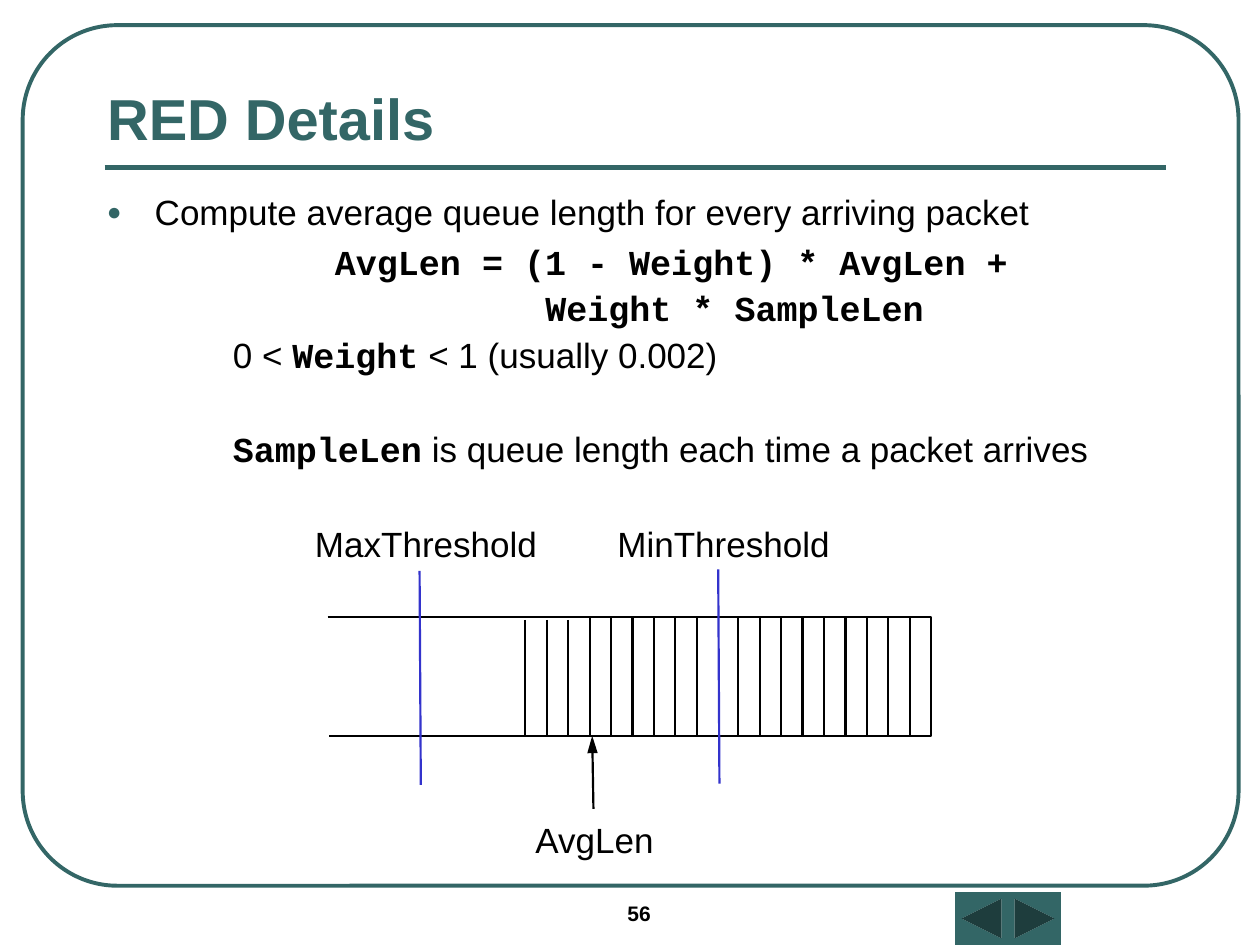
from lxml.etree import SubElement
from pptx import Presentation
from pptx.dml.color import RGBColor
from pptx.enum.shapes import MSO_CONNECTOR, MSO_SHAPE
from pptx.enum.text import MSO_ANCHOR, MSO_AUTO_SIZE, PP_ALIGN
from pptx.oxml.ns import qn
from pptx.util import Emu, Pt

PX = 9144  # EMU per px, 100 px to the inch
TEAL, BLUE, BLACK = "336666", "3333CC", "000000"
SANS, MONO = "Arial", "Courier New"


def px(n):
    return Emu(n * PX)


def color(hex_code):
    return RGBColor.from_string(hex_code)


def place(shape, x, y, w, h):
    shape.left, shape.top, shape.width, shape.height = map(px, (x, y, w, h))


def set_line(shape, hex_code, width):
    shape.line.color.rgb = color(hex_code)
    shape.line.width = Pt(width)


def add_run(p, text, size=20, font=SANS, bold=False, hex_code=BLACK):
    r = p.add_run()
    r.text = text
    r.font.size, r.font.name, r.font.bold = Pt(size), font, bold
    r.font.color.rgb = color(hex_code)


def add_label(s, text, x, y, w, h, **fmt):
    tf = s.shapes.add_textbox(*map(px, (x, y, w, h))).text_frame
    tf.margin_left = tf.margin_right = tf.margin_top = tf.margin_bottom = 0
    tf.word_wrap = False
    p = tf.paragraphs[0]
    p.alignment = PP_ALIGN.LEFT
    add_run(p, text, **fmt)


def add_line(s, x1, y1, x2, y2, hex_code=BLACK, width=1.25, arrow=False):
    line = s.shapes.add_connector(MSO_CONNECTOR.STRAIGHT, *map(px, (x1, y1, x2, y2)))
    set_line(line, hex_code, width)
    if arrow:
        ln = line._element.spPr.find(qn("a:ln"))
        SubElement(ln, qn("a:tailEnd"), type="triangle", w="med", len="lg")
    SubElement(line._element.spPr, qn("a:effectLst"))


def add_preset(s, kind, x, y, w, h):
    shape = s.shapes.add_shape(kind, *map(px, (x, y, w, h)))
    shape.shadow.inherit = False
    return shape


def add_frame(s):
    frame = add_preset(s, MSO_SHAPE.ROUNDED_RECTANGLE, 18, 20, 965, 683)
    frame.adjustments[0] = 0.11
    frame.fill.background()
    set_line(frame, TEAL, 2.25)
    add_line(s, 83, 133, 925, 133, TEAL, 3)
    buttons = (MSO_SHAPE.ACTION_BUTTON_BACK_OR_PREVIOUS,
               MSO_SHAPE.ACTION_BUTTON_FORWARD_OR_NEXT)
    for i, kind in enumerate(buttons):
        button = add_preset(s, kind, 758 + 42 * i, 708, 42, 42)
        button.fill.solid()
        button.fill.fore_color.rgb = color(TEAL)
        button.line.fill.background()
    add_label(s, "56", 498, 715, 97, 23, size=12, bold=True)


def add_title(s, text):
    title = s.shapes.title
    place(title, 75, 0, 850, 125)
    tf = title.text_frame
    tf.auto_size, tf.vertical_anchor = MSO_AUTO_SIZE.NONE, MSO_ANCHOR.BOTTOM
    p = tf.paragraphs[0]
    p.alignment, p.line_spacing = PP_ALIGN.LEFT, 0.8
    add_run(p, text, size=33, bold=True, hex_code=TEAL)


def set_bullet(p, hanging):
    pPr = p._p.get_or_add_pPr()
    pPr.set("indent", str(px(-hanging)))
    SubElement(SubElement(pPr, qn("a:buClr")), qn("a:srgbClr"), val=TEAL)
    SubElement(pPr, qn("a:buSzPct"), val="70000")
    SubElement(pPr, qn("a:buFont"), typeface=SANS)
    SubElement(pPr, qn("a:buChar"), char="●")


def add_body(s):
    """Each paragraph has a left margin, space before and (text, is code) runs."""
    paragraphs = [
        (38, 0, [("Compute average queue length for every arriving packet", False)]),
        (181, 7, [("AvgLen = (1 - Weight) * AvgLen +", True)]),
        (348, 5, [("Weight * SampleLen", True)]),
        (100, 5, [("0 < ", False), ("Weight", True), (" < 1 (usually 0.002)", False)]),
        (100, 32, [("SampleLen", True),
                   (" is queue length each time a packet arrives", False)]),
    ]
    tf = s.shapes.add_textbox(*map(px, (75, 150, 850, 450))).text_frame
    tf.word_wrap = True
    for i, (margin, before, runs) in enumerate(paragraphs):
        p = tf.add_paragraph() if i else tf.paragraphs[0]
        p._p.get_or_add_pPr().set("marL", str(px(margin)))
        if i == 0:
            set_bullet(p, margin)
        p.line_spacing, p.space_before = 0.9, Pt(before)
        for text, is_code in runs:
            add_run(p, text, font=MONO if is_code else SANS, bold=is_code)


def add_queue(s):
    top, bottom, threshold_slot = 490, 584, 9
    builder = s.shapes.build_freeform(260, top, scale=PX)
    builder.add_line_segments([(739, top), (739, bottom), (261, bottom)], close=False)
    queue = builder.convert_to_shape()
    queue.shadow.inherit = False
    queue.fill.background()
    set_line(queue, BLACK, 1.25)

    for slot in range(19):
        if slot != threshold_slot:
            x = round(417 + slot * 305 / 18)
            drop = 2 if slot < 3 else 0
            add_line(s, x, top + drop, x, bottom - 1 + drop)

    for text, label_x, x, y in (("MaxThreshold", 250, 333, 453),
                                ("MinThreshold", 490, 570, 452)):
        add_line(s, x, y, x + 1, y + 170, BLUE)
        add_label(s, text, label_x, 415, 180, 33)
    add_line(s, 471, 642, 470, bottom, arrow=True)
    add_label(s, "AvgLen", 425, 650, 100, 33)


def main():
    prs = Presentation()
    prs.slide_width, prs.slide_height = px(1000), px(750)
    s = prs.slides.add_slide(prs.slide_layouts[5])
    add_frame(s)
    add_title(s, "RED Details")
    add_body(s)
    add_queue(s)
    prs.save("out.pptx")


if __name__ == "__main__":
    main()
